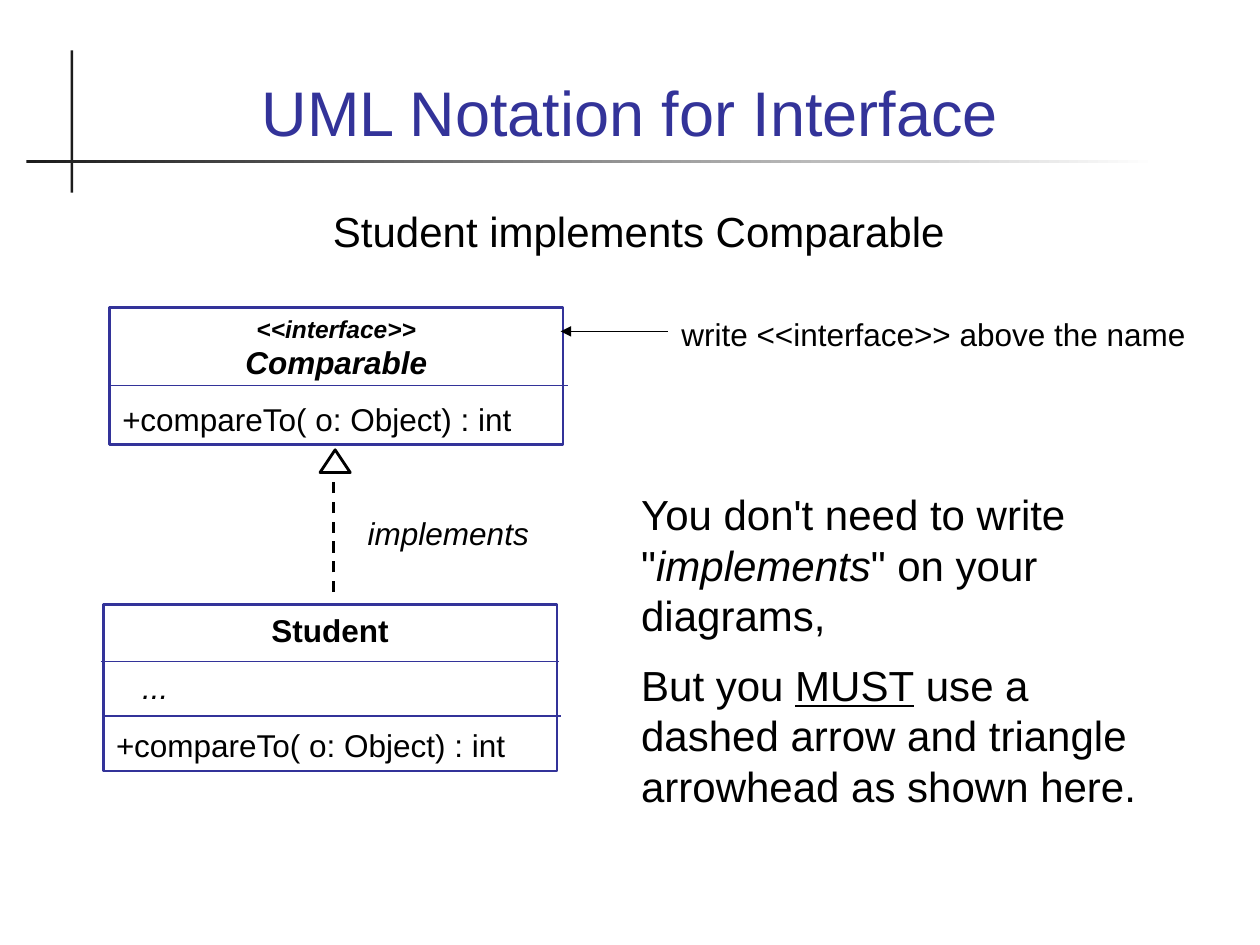
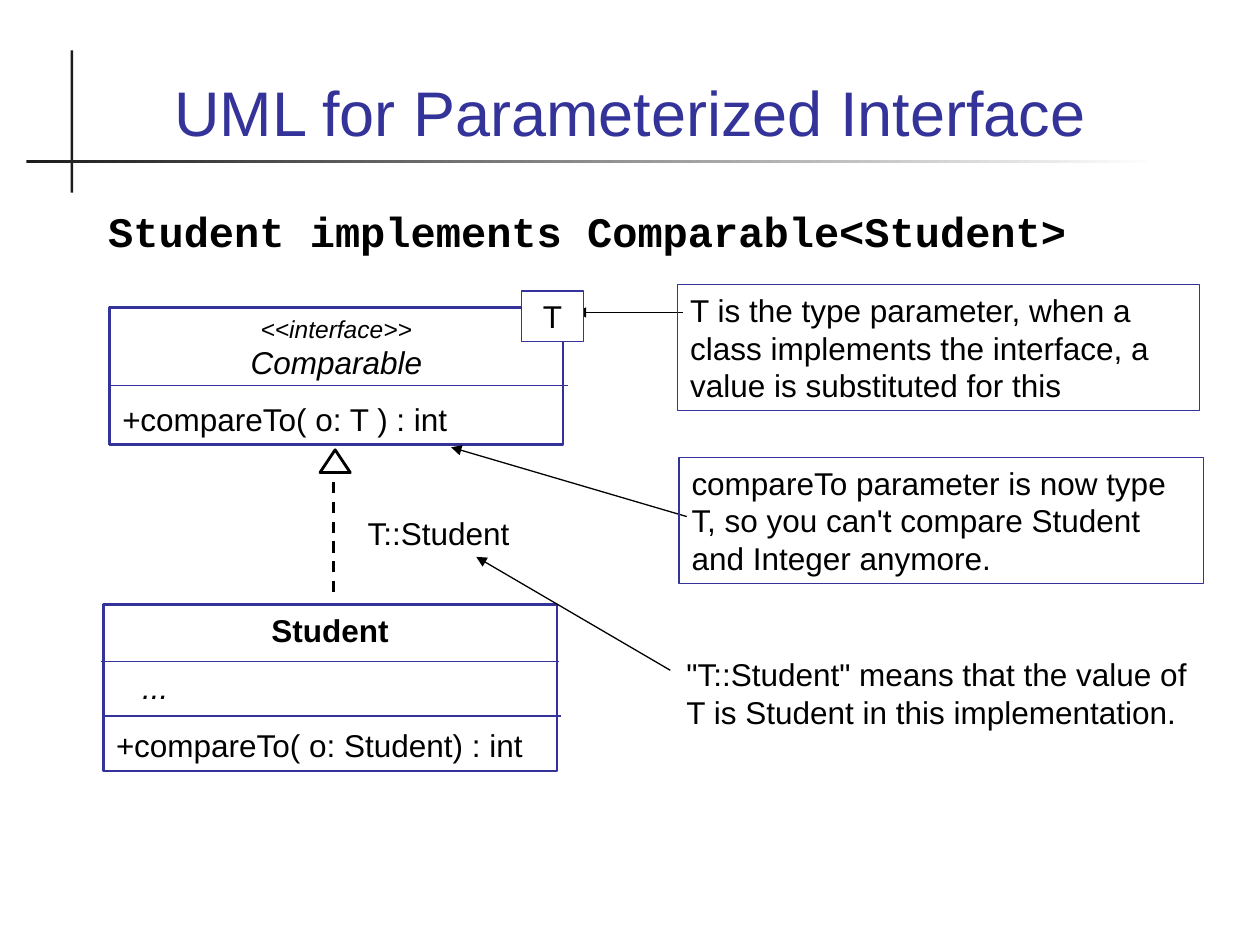
"""Build two slides on UML notation for plain and parameterized interfaces."""
from copy import deepcopy
from dataclasses import dataclass

from lxml import etree
from pptx import Presentation
from pptx.dml.color import RGBColor
from pptx.enum import dml, shapes, text
from pptx.oxml import ns
from pptx.util import Inches, Pt


@dataclass(frozen=True)
class Theme:
    accent: RGBColor = RGBColor(0x33, 0x33, 0x99)
    ink: RGBColor = RGBColor(0, 0, 0)
    rule: RGBColor = RGBColor(0x1C, 0x1C, 0x1C)
    paper: RGBColor = RGBColor(255, 255, 255)
    sans: str = "Arial"
    mono: str = "Courier New"
    title: float = 36
    lead: float = 24
    label: float = 18
    stereotype: float = 14
    before: float = 11.2
    frame: float = 1.5
    divider: float = 1
    thin: float = 0.75
    realization: float = 1.62


theme = Theme()
LEFT, CENTER = text.PP_ALIGN.LEFT, text.PP_ALIGN.CENTER
RECTANGLE = shapes.MSO_SHAPE.RECTANGLE


def write(page, place, paragraphs, size=theme.label, font=theme.sans, color=theme.ink,
          border=None, fill=None, anchor=text.MSO_ANCHOR.TOP):
    """Add a box; a paragraph is (alignment, indent, runs), a run is (words, style[, size])."""
    place = [Inches(length) for length in place]
    if border:
        box = page.shapes.add_shape(RECTANGLE, *place)
        box.shadow.inherit = False
        box.line.color.rgb = theme.accent
        box.line.width = Pt(border)
        if fill:
            box.fill.solid()
            box.fill.fore_color.rgb = fill
        else:
            box.fill.background()
    else:
        box = page.shapes.add_textbox(*place)
    frame = box.text_frame
    frame.word_wrap = True
    frame.vertical_anchor = anchor
    for number, (alignment, indent, runs) in enumerate(paragraphs):
        para = frame.add_paragraph() if number else frame.paragraphs[0]
        para.alignment = alignment
        if number:
            para.space_before = Pt(theme.before)
        if indent:
            para._p.get_or_add_pPr().set("marL", str(Inches(indent)))
        for words, style, *own_size in runs:
            span = para.add_run()
            span.text = words.rstrip("\n")
            span.font.name = font
            span.font.size = Pt(own_size[0] if own_size else size)
            span.font.color.rgb = color
            span.font.bold = "b" in style
            span.font.italic = "i" in style
            span.font.underline = "u" in style
            if words.endswith("\n"):
                para.add_line_break()
                para._p[-1].append(deepcopy(span._r.rPr))
    return box


def connect(page, start, end, color=theme.ink, width=theme.thin, arrow=False):
    """Add a straight line, with a triangle at its end if arrow is set."""
    points = [Inches(length) for length in (*start, *end)]
    line = page.shapes.add_connector(shapes.MSO_CONNECTOR.STRAIGHT, *points)
    line.line.color.rgb = color
    line.line.width = Pt(width)
    if arrow:
        etree.SubElement(line.line._get_or_add_ln(), ns.qn("a:tailEnd"), type="triangle")
    etree.SubElement(line._element.spPr, ns.qn("a:effectLst"))
    return line


deck = Presentation()
deck.slide_width, deck.slide_height = Inches(10), Inches(7.5)

topics = [
    dict(title="UML Notation for Interface",
         headline=(CENTER, 0, [("Student implements Comparable", "")]),
         headline_font=theme.sans, relation=("implements", "i"), name_style="bi",
         declared="compareTo( o: Object) : int", realized="compareTo( o: Object) : int"),
    dict(title="UML for Parameterized Interface",
         headline=(LEFT, 0.02, [("Student implements Comparable<Student>", "b")]),
         headline_font=theme.mono, relation=("T::Student", ""), name_style="i",
         declared="compareTo( o: T ) : int", realized="compareTo( o: Student) : int"),
]

pages = []
for topic in topics:
    page = deck.slides.add_slide(deck.slide_layouts[6])
    pages.append(page)

    for place in ((0.56, 0.4, 0.02, 1.13), (0.21, 1.27, 8.98, 0.02)):
        bar = page.shapes.add_shape(RECTANGLE, *[Inches(length) for length in place])
        bar.shadow.inherit = False
        bar.line.fill.background()
        bar.fill.solid()
        bar.fill.fore_color.rgb = theme.rule
    bar.fill.gradient()
    bar.fill.gradient_angle = 0
    for stop, color in zip(bar.fill.gradient_stops, (theme.rule, theme.paper)):
        stop.color.rgb = color

    write(page, (0.67, 0.28, 8.66, 0.95), [(CENTER, 0, [(topic["title"], "")])],
          theme.title, color=theme.accent, anchor=text.MSO_ANCHOR.BOTTOM)
    write(page, (0.74, 1.58, 8.66, 0.58), [topic["headline"]], theme.lead, topic["headline_font"])

    shaft = connect(page, (2.65, 4.7), (2.65, 3.75), width=theme.realization)
    shaft.line.dash_style = dml.MSO_LINE.DASH
    outline = page.shapes.build_freeform(Inches(2.54), Inches(3.75))
    outline.add_line_segments([(Inches(2.78), Inches(3.75)), (Inches(2.66), Inches(3.57))])
    head = outline.convert_to_shape()
    head.shadow.inherit = False
    head.fill.background()
    head.line.color.rgb = theme.ink
    head.line.width = Pt(theme.realization)
    write(page, (2.82, 4.03, 1.55, 0.4), [(LEFT, 0, [topic["relation"]])])

    for left, top in ((0.87, 3.06), (0.8, 5.25), (0.81, 5.68)):
        connect(page, (left, top), (left + 3.64, top), theme.accent, theme.divider)
    name_style = topic["name_style"]
    write(page, (0.87, 2.44, 3.6, 1.09), [
        (CENTER, 0, [("<<interface>>\n", name_style, theme.stereotype),
                     ("Comparable", name_style)]),
        (LEFT, 0, [("+", "i"), (topic["declared"], "")]),
    ], border=theme.frame)
    write(page, (0.82, 4.8, 3.6, 1.32), [
        (CENTER, 0, [("Student", "b")]),
        (LEFT, 0.21, [("...", "i")]),
        (LEFT, 0, [("+", "i"), (topic["realized"], "")]),
    ], border=theme.frame)

plain, parameterized = pages

write(plain, (4.99, 3.83, 4.41, 2.66), [
    (LEFT, 0, [('You don\'t need to write "', ""), ("implements", "i"),
               ('" on your diagrams,', "")]),
    (LEFT, 0, [("But you ", ""), ("MUST", "u"),
               (" use a dashed arrow and triangle arrowhead as shown here.", "")]),
], theme.lead)
connect(plain, (5.3, 2.63), (4.45, 2.63), arrow=True)
write(plain, (5.31, 2.45, 4.34, 0.4),
      [(LEFT, 0, [("write <<interface>> above the name", "")])])

for start, end in (((5.42, 2.48), (4.57, 2.48)),
                   ((5.45, 4.1), (3.58, 3.55)),
                   ((5.32, 5.32), (3.78, 4.42))):
    connect(parameterized, start, end, arrow=True)
write(parameterized, (4.14, 2.31, 0.49, 0.4), [(CENTER, 0, [("T", "")])],
      border=theme.thin, fill=theme.paper)
notes = [
    ((5.38, 2.26, 4.14, 1), theme.thin,
     "T is the type parameter, when a class implements the interface, "
     "a value is substituted for this"),
    ((5.39, 3.63, 4.16, 1), theme.thin,
     "compareTo parameter is now type T, so you can't compare Student and Integer anymore."),
    ((5.35, 5.15, 4.3, 0.7), None,
     '"T::Student" means that the value of T is Student in this implementation.'),
]
for place, border, words in notes:
    write(parameterized, place, [(LEFT, 0, [(words, "")])], border=border)

deck.save("out.pptx")
